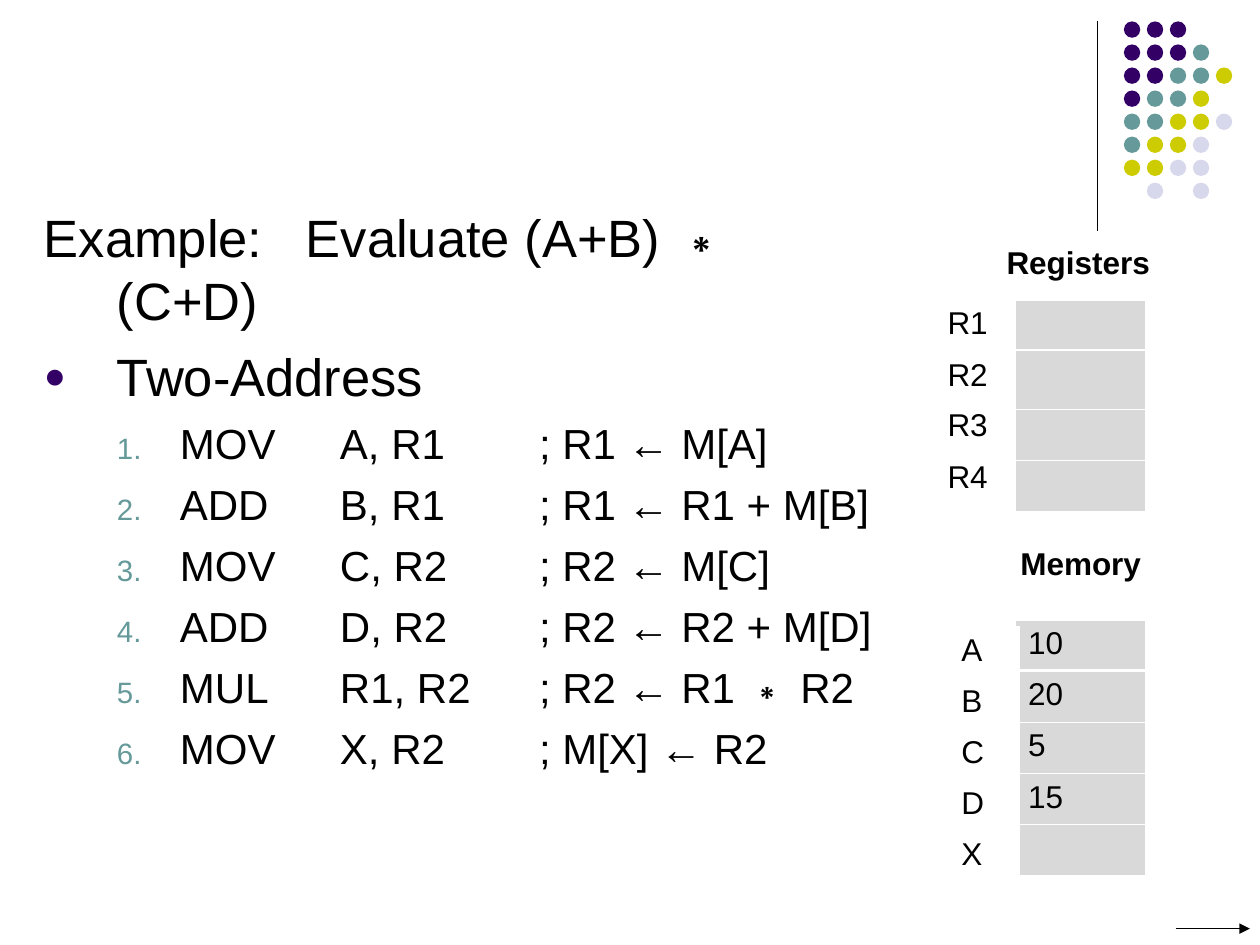
"""Build the two-address instruction slide with registers and memory."""
import pptx
import pptx.chart.data
import pptx.dml.color
import pptx.enum.shapes
import pptx.oxml
import pptx.oxml.ns
import pptx.util
from lxml import etree

Inches = pptx.util.Inches
Pt = pptx.util.Pt

PURPLE, TEAL, OLIVE, LILAC = "330066", "669999", "CCCC00", "D8D8EC"
BLACK, WHITE, GREY = "000000", "FFFFFF", "D9D9D9"

DOT_COLORS = {"p": PURPLE, "t": TEAL, "o": OLIVE, "l": LILAC}
DOT_ROWS = ["ppp", "pppt", "pptto", "ptto", "ttool", "tool", "ooll", " l l"]

EXAMPLE = "Example:\tEvaluate (A+B) ∗ (C+D)"
HEADING = "Two-Address"
INSTRUCTIONS = [
    "MOV\tA, R1\t; R1 ← M[A]",
    "ADD\tB, R1\t; R1 ← R1 + M[B]",
    "MOV\tC, R2\t; R2 ← M[C]",
    "ADD\tD, R2\t; R2 ← R2 + M[D]",
    "MUL\tR1, R2\t; R2 ← R1 ∗ R2",
    "MOV\tX, R2\t; M[X] ← R2",
]

CAPTIONS = [("Registers", 7.89, 1.88, 0), ("Memory", 7.79, 4.27, 0.21)]

TABLES = [
    (8.06, 2.38, 1.03, [0.4, 0.47, 0.4, 0.41], ["", "", "", ""], GREY),
    (8.06, 4.92, 1.03, [0.4, 0.41, 0.41, 0.4, 0.41], ["10", "20", "5", "15", ""], GREY),
    (7.42, 2.38, 0.56, [0.41, 0.4, 0.41, 0.41], ["R1", "R2", "R3", "R4"], WHITE),
    (7.53, 4.97, 0.56, [0.41, 0.4, 0.41, 0.4, 0.41], ["A", "B", "C", "D", "X"], WHITE),
]


def rgb(value):
    return pptx.dml.color.RGBColor.from_string(value)


def add_element(parent, tag, **attributes):
    element = etree.SubElement(parent, pptx.oxml.ns.qn(tag))
    for name, value in attributes.items():
        element.set(name, str(value))
    return element


def format_runs(paragraph, size, bold=False):
    for run in paragraph.runs:
        run.font.name = "Arial"
        run.font.size = Pt(size)
        run.font.bold = bold
        run.font.color.rgb = rgb(BLACK)


def set_indent(paragraph, left, first=0):
    properties = paragraph._p.get_or_add_pPr()
    properties.set("marL", str(Inches(left)))
    properties.set("indent", str(Inches(first)))
    return properties


def set_bullet(properties, color, tag, **attributes):
    add_element(add_element(properties, "a:buClr"), "a:srgbClr", val=color)
    add_element(properties, "a:buSzPct", val=70000)
    add_element(properties, "a:buFont", typeface="Arial")
    add_element(properties, tag, **attributes)


def set_tabs(properties, positions):
    tab_list = add_element(properties, "a:tabLst")
    for position in positions:
        add_element(tab_list, "a:tab", pos=Inches(position), algn="l")


def add_line(slide, start, end, arrow=False):
    line = slide.shapes.add_connector(
        pptx.enum.shapes.MSO_CONNECTOR.STRAIGHT,
        *[Inches(value) for value in start + end])
    line.line.color.rgb = rgb(BLACK)
    line.line.width = Pt(0.75)
    if arrow:
        add_element(line.line._get_or_add_ln(), "a:tailEnd", type="triangle")
    add_element(line._element.spPr, "a:effectLst")


def add_dots(slide):
    group = slide.shapes.add_group_shape()
    for row, keys in enumerate(DOT_ROWS):
        for column, key in enumerate(keys):
            if key == " ":
                continue
            dot = group.shapes.add_shape(
                pptx.enum.shapes.MSO_SHAPE.OVAL,
                Inches(8.92 + 0.73 * column / 4), Inches(0.17 + 1.28 * row / 7),
                Inches(0.13), Inches(0.13))
            dot.shadow.inherit = False
            dot.fill.solid()
            dot.fill.fore_color.rgb = rgb(DOT_COLORS[key])
            dot.line.fill.background()


def add_body(slide):
    box = slide.shapes.add_textbox(Inches(0.25), Inches(1.58), Inches(6.83), Inches(4.82))
    frame = box.text_frame
    frame.word_wrap = True
    frame.text = "\n".join([EXAMPLE, HEADING] + INSTRUCTIONS)
    example, heading, *instructions = frame.paragraphs

    set_tabs(set_indent(example, 0.58, -0.58), [2.1])
    format_runs(example, 30)

    set_bullet(set_indent(heading, 0.58, -0.58), PURPLE, "a:buChar", char="●")
    heading.space_before = Pt(7.5)
    format_runs(heading, 30)

    for paragraph in instructions:
        paragraph.level = 1
        properties = set_indent(paragraph, 1.08, -0.5)
        set_bullet(properties, TEAL, "a:buAutoNum", type="arabicPeriod")
        set_tabs(properties, [2.35, 3.93])
        paragraph.space_before = Pt(6)
        format_runs(paragraph, 24)


def add_caption(slide, text, left, top, indent):
    box = slide.shapes.add_textbox(Inches(left), Inches(top), Inches(1.43), Inches(0.4))
    box.text_frame.word_wrap = True
    box.text_frame.text = text
    paragraph = box.text_frame.paragraphs[0]
    set_indent(paragraph, indent)
    format_runs(paragraph, 18, bold=True)


def set_borders(cell, top, bottom):
    properties = cell._tc.get_or_add_tcPr()
    widths = {"a:lnL": 0.45, "a:lnR": 0.45, "a:lnT": top, "a:lnB": bottom}
    for tag, width in widths.items():
        border = add_element(properties, tag, w=Pt(width))
        add_element(add_element(border, "a:solidFill"), "a:srgbClr", val=WHITE)


def add_column(slide, left, top, width, heights, values, fill):
    table = slide.shapes.add_table(
        len(values), 1, Inches(left), Inches(top), Inches(width),
        Inches(sum(heights))).table
    table.first_row = False
    table.horz_banding = False
    table.columns[0].width = Inches(width)
    for index, (height, value) in enumerate(zip(heights, values)):
        table.rows[index].height = Inches(height)
        cell = table.cell(index, 0)
        set_borders(cell, 1.47 if index == 1 else 0.45, 1.47 if index == 0 else 0.45)
        cell.fill.solid()
        cell.fill.fore_color.rgb = rgb(fill)
        cell.text_frame.text = value
        format_runs(cell.text_frame.paragraphs[0], 18)


def main():
    presentation = pptx.Presentation()
    presentation.slide_width = Inches(10)
    presentation.slide_height = Inches(7.5)
    slide = presentation.slides.add_slide(presentation.slide_layouts[6])
    add_line(slide, (8.71, 0.17), (8.71, 1.83))
    add_dots(slide)
    add_body(slide)
    add_line(slide, (9.33, 7.37), (9.92, 7.37), arrow=True)
    for caption in CAPTIONS:
        add_caption(slide, *caption)
    for column in TABLES:
        add_column(slide, *column)
    presentation.save("out.pptx")


if __name__ == "__main__":
    main()
